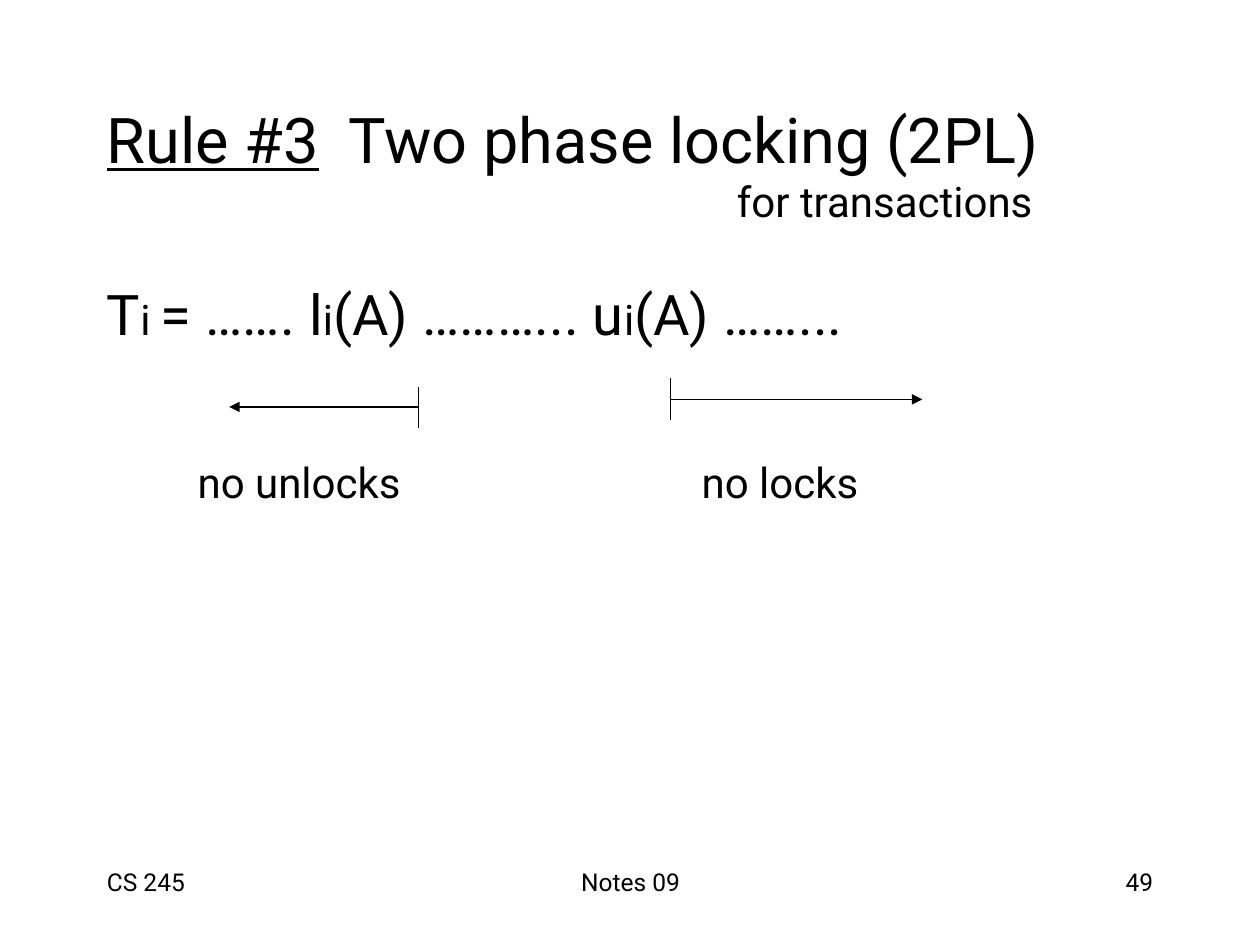
from dataclasses import dataclass

import pptx
import pptx.dml.color
import pptx.enum.shapes
import pptx.enum.text
import pptx.oxml
import pptx.oxml.ns
import pptx.util
from pptx.util import Inches


@dataclass(frozen=True)
class Theme:
    font: str = "Roboto"
    ink: pptx.dml.color.RGBColor = pptx.dml.color.RGBColor(0, 0, 0)
    title: int = 36
    formula: int = 32
    label: int = 24
    footer: int = 14
    line: float = 0.75


theme = Theme()
Align = pptx.enum.text.PP_ALIGN
Anchor = pptx.enum.text.MSO_ANCHOR

presentation = pptx.Presentation()
presentation.slide_width = Inches(10)
presentation.slide_height = Inches(7.5)
slide = presentation.slides.add_slide(presentation.slide_layouts[6])


def add_text(left, top, width, height, paragraphs, align=Align.LEFT, anchor=Anchor.TOP):
    """Add a text box; each paragraph is a list of (text, size, underline) runs."""
    box = slide.shapes.add_textbox(Inches(left), Inches(top), Inches(width), Inches(height))
    frame = box.text_frame
    frame.word_wrap = True
    frame.vertical_anchor = anchor
    for index, runs in enumerate(paragraphs):
        paragraph = frame.add_paragraph() if index else frame.paragraphs[0]
        paragraph.alignment = align
        for text, size, underline in runs:
            run = paragraph.add_run()
            run.text = text
            run.font.name = theme.font
            run.font.size = pptx.util.Pt(size)
            run.font.color.rgb = theme.ink
            run.font.underline = underline
    return frame


def add_line(x1, y1, x2, y2, arrow=False):
    line = slide.shapes.add_connector(
        pptx.enum.shapes.MSO_CONNECTOR.STRAIGHT, Inches(x1), Inches(y1), Inches(x2), Inches(y2))
    line.line.color.rgb = theme.ink
    line.line.width = pptx.util.Pt(theme.line)
    namespace = pptx.oxml.ns.nsdecls("a")
    if arrow:
        line.line._get_or_add_ln().append(
            pptx.oxml.parse_xml(f'<a:tailEnd {namespace} type="triangle"/>'))
    line._element.spPr.append(pptx.oxml.parse_xml(f"<a:effectLst {namespace}/>"))


# Title: a tab separates the rule from its name, an indent places the subtitle
title = add_text(0.75, 0.67, 8.5, 1.25, [
    [("Rule #3", theme.title, True), ("\tTwo phase locking (2PL)", theme.title, False)],
    [("for transactions", theme.label, False)],
], anchor=Anchor.MIDDLE)
first_line, subtitle = title.paragraphs
first_line._p.get_or_add_pPr().append(pptx.oxml.parse_xml(
    f'<a:tabLst {pptx.oxml.ns.nsdecls("a")}><a:tab pos="{Inches(1.92)}" algn="l"/></a:tabLst>'))
subtitle._p.get_or_add_pPr().set("marL", str(Inches(5)))

# Schedule of transaction Ti, with smaller index letters
schedule = [
    ("T", theme.formula), ("i ", theme.label), ("= ……. l", theme.formula),
    ("i", theme.label), ("(A) ………... u", theme.formula),
    ("i", theme.label), ("(A) ……...", theme.formula),
]
add_text(0.75, 2.17, 8.5, 0.75, [[(text, size, False) for text, size in schedule]])

# Phases: a bar, an arrow pointing away from it, and a label
phases = [
    (3.32, 3.07, 3.23, 1.82, 1.47, "no unlocks"),
    (5.32, 3.0, 3.17, 7.32, 5.47, "no locks"),
]
for bar_x, bar_top, arrow_y, arrow_end, label_left, label in phases:
    add_line(bar_x, arrow_y, arrow_end, arrow_y, arrow=True)
    add_line(bar_x, bar_top, bar_x, bar_top + 0.33)
    add_text(label_left, 3.57, 2, 0.5, [[(label, theme.label, False)]], anchor=Anchor.MIDDLE)

footers = [
    (0.75, 2.08, "CS 245", Align.LEFT),
    (3.42, 3.17, "Notes 09", Align.CENTER),
    (7.17, 2.08, "49", Align.RIGHT),
]
for left, width, text, align in footers:
    add_text(left, 6.83, width, 0.5, [[(text, theme.footer, False)]], align)

presentation.save("out.pptx")
